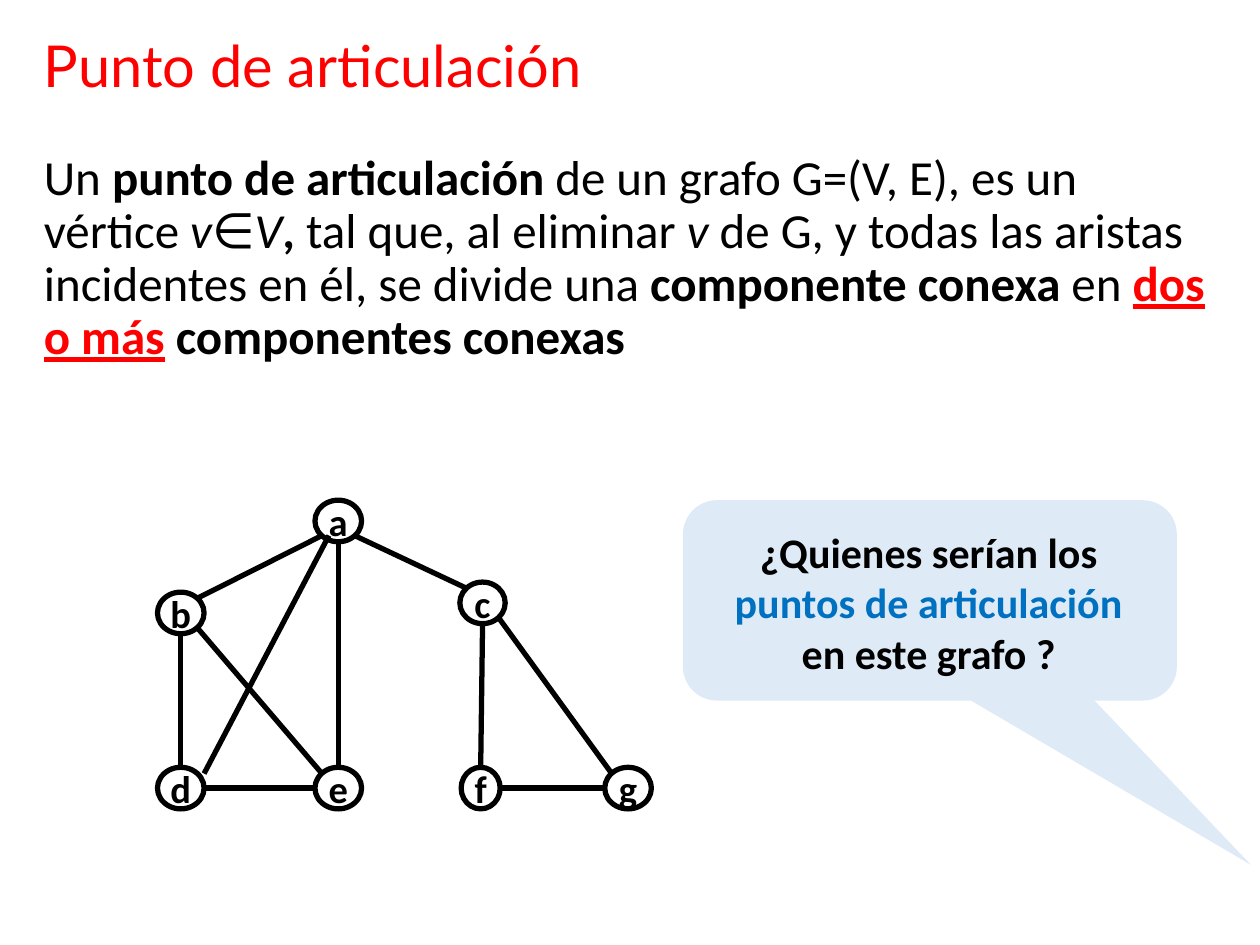
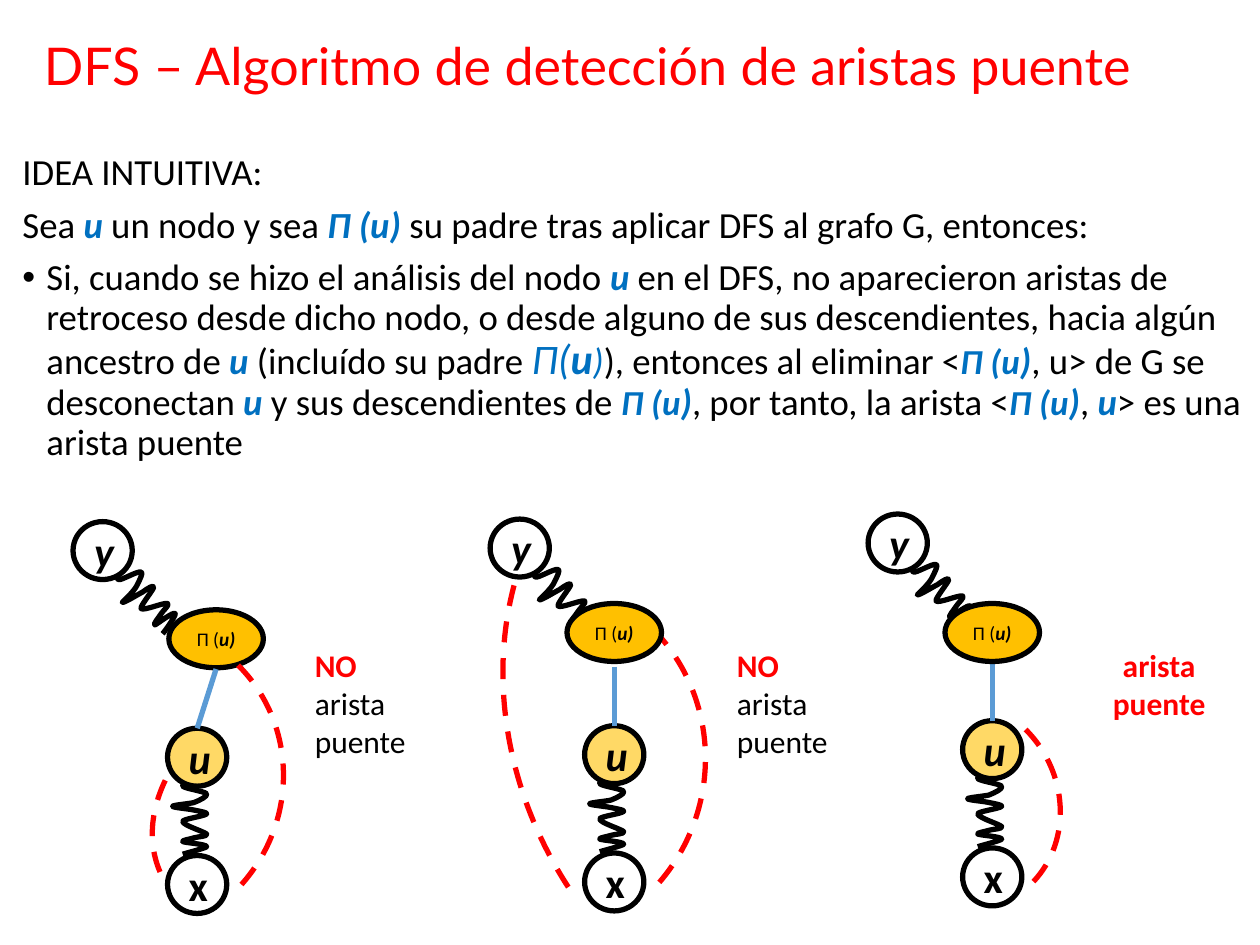
from copy import deepcopy
from math import cos, radians, sin

from lxml.etree import SubElement
from pptx import Presentation
from pptx.dml.color import RGBColor
from pptx.enum.dml import MSO_LINE
from pptx.enum.shapes import MSO_CONNECTOR, MSO_SHAPE
from pptx.enum.text import MSO_ANCHOR, PP_ALIGN
from pptx.oxml.ns import qn
from pptx.util import Inches, Pt

# The slide is a grid of 10 columns by 7.5 rows, each cell one inch square.
COLUMNS, ROWS = 10, 7.5
COLORS = {
    "ink": "000000", "title": "FF0000", "alert": "FF0000", "accent": "0070C0",
    "callout": "DEEBF7", "node": "FFFFFF", "child": "FFD966", "parent": "FFC000",
    "tree_edge": "5B9BD5",
}
BODY_FONT, TITLE_FONT = "Calibri", "Lato"
STROKE = Pt(3)

PLAIN = {}
BOLD = {"bold": True}
ITALIC = {"italic": True}
BOLD_ITALIC = {**BOLD, **ITALIC}
ALERT = {**BOLD, "color": "alert"}
TERM = {**BOLD_ITALIC, "color": "accent"}
SMALL_TERM = {**TERM, "size": 20}
BIG_TERM = {**TERM, "size": 24}

# Places on a node's outline, as shares of its width and height
SITES = {
    "top": (0.5, 0), "bottom": (0.5, 1), "left": (0, 0.5), "right": (1, 0.5),
    "top left": (0.15, 0.15), "top right": (0.85, 0.15),
    "bottom left": (0.15, 0.85), "bottom right": (0.85, 0.85),
    "outer top right": (1, 0.15), "inner bottom left": (0.3, 0.85),
}
GRAPH_NODES = {
    "e": (2.5, 6.09, 0.37), "d": (1.25, 6.09, 0.37), "g": (4.8, 6.09, 0.37),
    "f": (3.66, 6.09, 0.31), "c": (3.65, 4.62, 0.36), "b": (1.25, 4.7, 0.37),
    "a": (2.5, 3.97, 0.37),
}
GRAPH_NODE_HEIGHT = 0.33
GRAPH_EDGES = [
    ("b", "bottom", "d", "top"),
    ("a", "bottom", "e", "top"),
    ("d", "right", "e", "left"),
    ("b", "top right", "a", "bottom left"),
    ("d", "outer top right", "a", "inner bottom left"),
    ("b", "bottom right", "e", "top left"),
    ("a", "bottom right", "c", "top left"),
    ("c", "bottom", "f", "top"),
    ("f", "right", "g", "left"),
    ("c", "bottom right", "g", "top left"),
]

# Bezier points in hundredths of an inch from the start of each coil
UPPER_COIL = [
    (0, 0), (-3, 4), (-5, 7), (-5, 8), (-4, 9), (3, 4), (4, 5), (5, 6), (-1, 15), (2, 16),
    (4, 17), (17, 9), (20, 10), (22, 10), (19, 16), (17, 20), (15, 25), (5, 34), (5, 34),
    (6, 35), (17, 28), (21, 26), (25, 23), (30, 20), (30, 22), (30, 24), (19, 37), (20, 39),
    (22, 41), (38, 34), (41, 35), (43, 36), (37, 41), (36, 43), (34, 46), (29, 52), (31, 52),
    (33, 51), (46, 41), (47, 43), (48, 44), (39, 57), (37, 59),
]
LOWER_COIL = [
    (0, 0), (-4, 1), (-9, 2), (-9, 3), (-9, 4), (0, 5), (0, 7), (0, 8), (-10, 11), (-9, 13),
    (-7, 15), (8, 17), (10, 19), (11, 21), (5, 24), (0, 26), (-4, 27), (-17, 28), (-17, 29),
    (-17, 30), (-4, 31), (0, 32), (5, 33), (11, 34), (10, 35), (8, 37), (-9, 39), (-9, 41),
    (-9, 44), (8, 49), (10, 51), (11, 53), (3, 53), (0, 54), (-3, 55), (-10, 56), (-9, 57),
    (-7, 58), (10, 59), (10, 61), (10, 62), (-6, 66), (-9, 67),
]
TREE_NODE = (0.47, 0.46)
PARENT_NODE = (0.75, 0.46)

NO_BRIDGE = [[("NO ", ALERT), ("arista", PLAIN)], [("puente", PLAIN)]]
BRIDGE = [[("arista", ALERT)], [("puente", ALERT)]]
# Each back edge: its rotation, four Bezier points and the centre of its arc
TREES = [
    {"ancestor": (3.89, 4.12), "parent": (4.5, 4.79), "link_top": 5.29, "back_edges": [
        (235.4, [(4.51, 7.04), (4.01, 6.27), (3.86, 5.34), (4.11, 4.54)], (6.62, 5.71)),
        (42.9, [(5.18, 4.99), (5.73, 5.55), (5.74, 6.45), (5.2, 7.04)], (4.13, 6.04))]},
    {"ancestor": (0.58, 4.14), "parent": (1.34, 4.84), "link_top": 5.31,
     "parent_on_top": False, "back_edges": [
         (243.2, [(1.27, 6.92), (1.15, 6.64), (1.21, 6.31), (1.42, 6.01)], (2.4, 6.38)),
         (42.9, [(1.89, 5.28), (2.37, 5.76), (2.37, 6.54), (1.89, 7.05)], (0.98, 6.2))]},
    {"ancestor": (6.89, 4.08), "parent": (7.5, 4.79), "link_top": 5.25, "back_edges": [
        (42.9, [(8.14, 5.79), (8.48, 6.13), (8.51, 6.67), (8.2, 7)], (7.54, 6.39))]},
]

DEFINITION = [[
    ("Un ", PLAIN), ("punto de articulación ", BOLD),
    ("de un grafo G=(V, E), es un vértice ", PLAIN), ("v∈V", ITALIC), (",", BOLD),
    (" tal que, al eliminar ", PLAIN), ("v", ITALIC),
    (" de G, y todas las aristas incidentes en él, se divide una ", PLAIN),
    ("componente conexa ", BOLD), ("en ", PLAIN),
    ("dos o más", {**ALERT, "underline": True}), (" ", ALERT),
    ("componentes conexas", BOLD),
]]
QUESTION = [[
    ("¿Quienes serían los ", BOLD),
    ("puntos de articulación ", {**BOLD, "color": "accent"}),
    ("en este grafo ?", BOLD),
]]
INTUITION = [
    [("IDEA INTUITIVA:", PLAIN)],
    [("Sea ", PLAIN), ("u", TERM), (" un nodo y sea ", PLAIN), ("Π (u) ", TERM),
     ("su padre tras aplicar DFS al grafo G, entonces:", PLAIN)],
    [("Si, cuando se hizo el análisis del nodo ", PLAIN), ("u", TERM),
     (" en el DFS, no aparecieron aristas de retroceso desde dicho nodo, o desde alguno "
      "de sus descendientes, hacia algún ancestro de ", PLAIN), ("u", TERM),
     (" (incluído su padre ", PLAIN), ("Π(", {**BIG_TERM, "bold": False}),
     ("u", BIG_TERM), (")", {**TERM, "bold": False}),
     ("), entonces al eliminar <", PLAIN), ("Π (u", SMALL_TERM), (")", TERM),
     (", u> de G se desconectan ", PLAIN), ("u", TERM),
     (" y sus descendientes de ", PLAIN), ("Π (u", SMALL_TERM), (")", TERM),
     (", por tanto, la arista <", PLAIN), ("Π (u", SMALL_TERM), (")", TERM),
     (", ", PLAIN), ("u", TERM), ("> es una arista puente", PLAIN)],
]


def rgb(name):
    return RGBColor.from_string(COLORS[name])


def add_span(para, text, size=18, color="ink", font=BODY_FONT,
             bold=False, italic=False, underline=False):
    span = para.add_run()
    span.text = text
    span.font.name, span.font.size = font, Pt(size)
    span.font.bold, span.font.italic, span.font.underline = bold, italic, underline
    span.font.color.rgb = rgb(color)


def fill_paragraphs(frame, paragraphs, align=PP_ALIGN.LEFT, line_spacing=1.0,
                    gap=0, bulleted=(), **base):
    """Write lists of (text, format) spans; base is the format they start from."""
    for index, spans in enumerate(paragraphs):
        para = frame.paragraphs[0] if index == 0 else frame.add_paragraph()
        para.alignment, para.line_spacing = align, line_spacing
        para.space_before = Pt(gap if index else 0)
        if index in bulleted:
            add_bullet(para, 0.19)
        for text, style in spans:
            add_span(para, text, **{**base, **style})


def add_bullet(para, indent):
    props = para._p.get_or_add_pPr()
    props.set("marL", str(Inches(indent)))
    props.set("indent", str(-Inches(indent)))
    SubElement(props, qn("a:buFont")).set("typeface", "Arial")
    SubElement(props, qn("a:buChar")).set("char", "•")


def add_text(page, area, paragraphs, anchor=MSO_ANCHOR.TOP, **style):
    box = page.shapes.add_textbox(*map(Inches, area))
    box.text_frame.word_wrap = True
    box.text_frame.vertical_anchor = anchor
    fill_paragraphs(box.text_frame, paragraphs, **style)


def add_title(page, text, size):
    add_text(page, (0.25, 0.17, 9.5, 0.75), [[(text, PLAIN)]], anchor=MSO_ANCHOR.MIDDLE,
             line_spacing=0.9, size=size, color="title", font=TITLE_FONT)


def add_node(page, corner, extent, spans, size=24, fill=None, wrap=True):
    node = page.shapes.add_shape(MSO_SHAPE.OVAL, *map(Inches, (*corner, *extent)))
    node.shadow.inherit = False
    if fill:
        node.fill.solid()
        node.fill.fore_color.rgb = rgb(fill)
    else:
        node.fill.background()
    node.line.color.rgb, node.line.width = rgb("ink"), STROKE
    node.text_frame.word_wrap = wrap
    node.text_frame.vertical_anchor = MSO_ANCHOR.MIDDLE
    fill_paragraphs(node.text_frame, [spans], align=PP_ALIGN.CENTER, size=size)
    return node


def add_edge(page, start, end, color="ink"):
    """Draw a straight line between two points given in EMU."""
    edge = page.shapes.add_connector(MSO_CONNECTOR.STRAIGHT, *map(int, (*start, *end)))
    edge.line.color.rgb, edge.line.width = rgb(color), STROKE
    SubElement(edge._element.spPr, qn("a:effectLst"))


def unrotate(points, rotation):
    """Give the points a shape needs so that its rotation brings them to these places."""
    turn = complex(cos(radians(rotation)), sin(radians(rotation)))
    local = [complex(*point) / turn for point in points]
    across, down = [p.real for p in local], [p.imag for p in local]
    middle = complex(min(across) + max(across), min(down) + max(down)) / 2
    placed = [p - middle + middle * turn for p in local]
    return [(Inches(p.real), Inches(p.imag)) for p in placed]


def add_curve(page, controls, rotation=0, centre=None, color="ink", dash=None):
    """Draw chained cubic curves; a centre adds an unstroked sector to the outline."""
    points = unrotate(controls + ([centre] if centre else []), rotation)
    builder = page.shapes.build_freeform(*points[0])
    builder.add_line_segments(points[1:], close=False)
    curve = builder.convert_to_shape()
    curve.rotation = rotation
    curve.shadow.inherit = False
    curve.fill.background()
    curve.line.color.rgb, curve.line.width = rgb(color), STROKE
    if dash:
        curve.line.dash_style = dash
    outline = curve._element.find(".//" + qn("a:path"))
    lines = outline.findall(qn("a:lnTo"))
    for line in lines:
        outline.remove(line)
    for first in range(0, len(controls) - 1, 3):
        cubic = SubElement(outline, qn("a:cubicBezTo"))
        for line in lines[first:first + 3]:
            cubic.append(line[0])
    if centre:
        sector = deepcopy(outline)
        sector.append(lines[-1])
        SubElement(sector, qn("a:close"))
        sector.set("stroke", "0")
        outline.addnext(sector)


def add_coil(page, start, coil, rotation=0):
    add_curve(page, [(start[0] + x / 100, start[1] + y / 100) for x, y in coil], rotation)


def add_callout(page, area):
    callout = page.shapes.add_shape(MSO_SHAPE.ROUNDED_RECTANGULAR_CALLOUT,
                                    *map(Inches, area))
    for index, value in enumerate((0.65, 1.32, 0.17)):
        callout.adjustments[index] = value
    callout.shadow.inherit = False
    callout.fill.solid()
    callout.fill.fore_color.rgb = rgb("callout")
    callout.line.fill.background()


def site_point(node, site):
    across, down = SITES[site]
    return node.left + across * node.width, node.top + down * node.height


def add_graph(page):
    group = page.shapes.add_group_shape()
    nodes = {name: add_node(group, (left, top), (width, GRAPH_NODE_HEIGHT),
                            [(name, BOLD)], size=22, wrap=False)
             for name, (left, top, width) in GRAPH_NODES.items()}
    for source, source_site, target, target_site in GRAPH_EDGES:
        add_edge(group, site_point(nodes[source], source_site),
                 site_point(nodes[target], target_site))


def add_tree(page, ancestor, parent, link_top, back_edges, parent_on_top=True):
    """Draw y, its descendant Π(u), then u and x, with their back edges."""
    left, top = ancestor
    child = (left + 0.75, top + 1.64)
    group = page.shapes.add_group_shape()

    def add_parent(layer):
        add_node(layer, parent, PARENT_NODE, [("Π (", PLAIN), ("u)", BOLD_ITALIC)],
                 size=11, fill="parent")

    add_node(group, (child[0], child[1] + 1.01), TREE_NODE, [("x", BOLD)])
    add_coil(group, (child[0] + 0.21, child[1] + 0.33), LOWER_COIL)
    if not parent_on_top:
        add_parent(group)
    for rotation, controls, centre in back_edges:
        add_curve(group, controls, rotation, centre, "alert", MSO_LINE.DASH)
    add_node(group, child, TREE_NODE, [("u", BOLD_ITALIC)], fill="child")
    add_coil(group, (left + 0.34, top + 0.3), UPPER_COIL, rotation=320.6)
    add_node(group, ancestor, TREE_NODE, [("y", BOLD_ITALIC)], fill="node")
    add_edge(page, (Inches(parent[0] + PARENT_NODE[0] / 2), Inches(link_top)),
             (Inches(child[0] + TREE_NODE[0] / 2), Inches(child[1])), "tree_edge")
    if parent_on_top:
        add_parent(page)


def build_articulation_slide(page):
    add_callout(page, (5.42, 3.97, 3.92, 1.59))
    add_graph(page)
    add_text(page, (5.58, 4.13, 3.58, 1.31), QUESTION, align=PP_ALIGN.CENTER, size=24)
    add_title(page, "Punto de articulación", 33)
    add_text(page, (0.25, 1.17, 9.5, 5.59), DEFINITION, line_spacing=0.9, size=28)


def build_bridge_slide(page):
    add_text(page, (0.08, 1.17, 9.92, 3), INTUITION, line_spacing=0.9, gap=7.5,
             bulleted=(2,), size=21)
    for tree in TREES:
        add_tree(page, **tree)
    for left in (2.4, 5.75):
        add_text(page, (left, 5.08, 1.1, 1.01), NO_BRIDGE)
    add_text(page, (8.65, 5.08, 1.1, 0.71), BRIDGE, align=PP_ALIGN.CENTER)
    add_title(page, "DFS – Algoritmo de detección de aristas puente", 29.7)


def main():
    deck = Presentation()
    deck.slide_width, deck.slide_height = Inches(COLUMNS), Inches(ROWS)
    for build in (build_articulation_slide, build_bridge_slide):
        build(deck.slides.add_slide(deck.slide_layouts[6]))
    deck.save("out.pptx")


if __name__ == "__main__":
    main()
